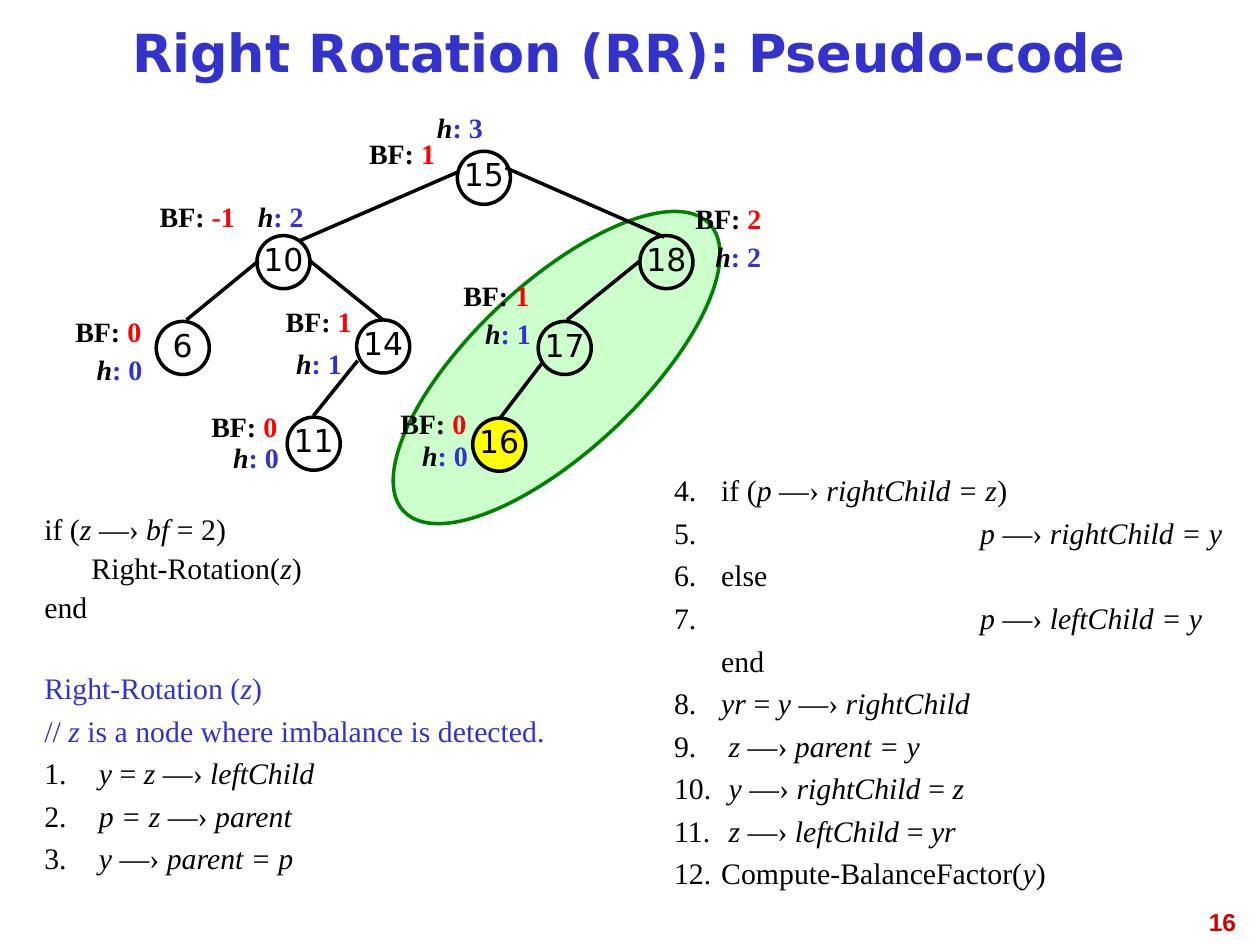
from lxml import etree
from pptx import Presentation
from pptx.dml.color import RGBColor
from pptx.enum.shapes import MSO_CONNECTOR, MSO_SHAPE
from pptx.enum.text import MSO_ANCHOR, MSO_AUTO_SIZE, PP_ALIGN
from pptx.oxml.ns import qn
from pptx.util import Cm, Pt

ELLIPSE = MSO_SHAPE.OVAL
STRAIGHT = MSO_CONNECTOR.STRAIGHT
MIDDLE, TOP = MSO_ANCHOR.MIDDLE, MSO_ANCHOR.TOP
CENTER, RIGHT, JUSTIFY = PP_ALIGN.CENTER, PP_ALIGN.RIGHT, PP_ALIGN.JUSTIFY
NO_FIT = MSO_AUTO_SIZE.NONE

COLORS = {"black": "000000", "blue": "3333CC", "red": "FF0000", "page": "CC0000",
          "green": "008000", "mint": "CCFFCC", "yellow": "FFFF00"}
SANS, SERIF = "DejaVu Sans", "Times New Roman"
NODE_SIZE = 1.07
HANG, DEEP_HANG = 0.95, 6.02

NODES = [
    ("15", (7.95, 0.94), "1", (5.92, 0.51), "3", (7.29, 0)),
    ("10", (3.91, 2.64), "-1", (1.7, 1.78), "2", (3.68, 1.78)),
    ("18", (11.63, 2.64), "2", (12.5, 1.83), "2", (12.9, 2.59)),
    ("6", (1.88, 4.37), "0", (0, 4.11), "0", (0.43, 4.88)),
    ("14", (5.92, 4.34), "1", (4.24, 3.91), "1", (4.45, 4.75)),
    ("17", (9.58, 4.37), "1", (7.82, 3.38), "1", (8.26, 4.14)),
    ("11", (4.52, 6.3), "0", (2.74, 6.02), "0", (3.18, 6.65)),
    ("16", (8.26, 6.32), "0", (6.55, 5.97), "0", (6.99, 6.6)),
]
EDGES = [
    (7.98, 1.35, 4.78, 2.74), (8.92, 1.27, 12.12, 2.67),
    (3.94, 3.15, 2.49, 4.34), (4.98, 3.15, 6.45, 4.34),
    (11.63, 3.15, 10.16, 4.34), (5.94, 5.16, 5.05, 6.27),
    (9.68, 5.18, 8.81, 6.32),
]

CALL_AND_SETUP = [
    ("if (*z* —› *bf* = 2)", {"spacing": 0.7}),
    ("\tRight-Rotation(*z*)", {"spacing": 0.7}),
    ("end", {"spacing": 0.7}),
    ("Right-Rotation (*z*)", {"before": 30.5, "color": "blue"}),
    ("// *z* is a node where imbalance is detected.", {"color": "blue"}),
    ("1.\t *y* = *z* —› *leftChild*", {}),
    ("2.\t *p = z* —› *parent*", {}),
    ("3.\t *y* —› *parent = p*", {}),
]
RELINKING = [
    ("4.\tif (*p* —› *rightChild = z*)", {}),
    ("5.\t *p* —› *rightChild = y*", {"hang": DEEP_HANG}),
    ("6.\telse", {}),
    ("7.\t *p* —› *leftChild = y*", {"hang": DEEP_HANG}),
    ("\tend", {}),
    ("8.\t*yr* = *y* —› *rightChild*", {}),
    ("9.\t *z* —› *parent = y*", {}),
    ("10.\t *y* —› *rightChild* = *z*", {}),
    ("11.\t *z* —› *leftChild* = *yr*", {}),
    ("12.\tCompute-BalanceFactor(*y*)", {}),
]


def rgb(name):
    return RGBColor.from_string(COLORS[name])


def style(r, size, name, color, bold=False, italic=False):
    r.font.size, r.font.name = Pt(size), name
    r.font.bold, r.font.italic = bold, italic
    r.font.color.rgb = rgb(color)


def place(sp, left, top, width, height):
    sp.left, sp.top, sp.width, sp.height = Cm(left), Cm(top), Cm(width), Cm(height)


def add_box(s, left, top, width, height):
    sp = s.shapes.add_textbox(Cm(left), Cm(top), Cm(width), Cm(height))
    sp.text_frame.word_wrap = True
    return sp


def add_ellipse(s, left, top, width, height, fill, line):
    sp = s.shapes.add_shape(ELLIPSE, Cm(left), Cm(top), Cm(width), Cm(height))
    sp.shadow.inherit = False
    if fill:
        sp.fill.solid()
        sp.fill.fore_color.rgb = rgb(fill)
    else:
        sp.fill.background()
    sp.line.color.rgb = rgb(line)
    sp.line.width = Pt(2)
    return sp


def add_node(s, left, top, key):
    fill = "yellow" if key == "16" else None
    tf = add_ellipse(s, left, top, NODE_SIZE, NODE_SIZE, fill, "black").text_frame
    tf.word_wrap = False
    tf.vertical_anchor = MIDDLE
    p = tf.paragraphs[0]
    p.text = key
    p.alignment, p.line_spacing = CENTER, 0.81
    style(p.runs[0], 18, SANS, "black")


def add_label(s, left, top, width, name, value, color, italic):
    p = add_box(s, left, top, width, 0.94).text_frame.paragraphs[0]
    for text, tone, slanted in ((name, "black", italic), (value, color, False)):
        r = p.add_run()
        r.text = text
        style(r, 16, SERIF, tone, True, slanted)


def add_edge(s, x1, y1, x2, y2):
    line = s.shapes.add_connector(STRAIGHT, Cm(x1), Cm(y1), Cm(x2), Cm(y2))
    line.line.color.rgb = rgb("black")
    line.line.width = Pt(2)
    etree.SubElement(line._element.spPr, qn("a:effectLst"))


def add_tree(s, left, top):
    subtree = add_ellipse(s, left + 8.26, top + 1.07, 3.38, 8.46, "mint", "green")
    subtree.rotation = 46.8
    for x1, y1, x2, y2 in EDGES:
        add_edge(s, left + x1, top + y1, left + x2, top + y2)
    for key, (x, y), bf, (bf_x, bf_y), h, (h_x, h_y) in NODES:
        add_node(s, left + x, top + y, key)
        bf_width = 1.9 if len(bf) == 1 else 2.54
        add_label(s, left + bf_x, top + bf_y, bf_width, "BF: ", bf, "red", False)
        add_label(s, left + h_x, top + h_y, 1.47, "h", f": {h}", "blue", True)


def fill_code(sp, lines):
    tf = sp.text_frame
    tf.auto_size = NO_FIT
    tf.vertical_anchor = TOP
    for i, (text, options) in enumerate(lines):
        p = tf.paragraphs[0] if i == 0 else tf.add_paragraph()
        pPr = p._p.get_or_add_pPr()
        hang = Cm(options.get("hang", HANG))
        pPr.set("marL", str(hang))
        pPr.set("indent", str(-hang))
        etree.SubElement(pPr, qn("a:buNone"))
        p.alignment = JUSTIFY
        p.line_spacing = options.get("spacing", 0.8)
        p.space_before = Pt(options.get("before", 8) if i else 0)
        for j, part in enumerate(text.split("*")):
            if part:
                r = p.add_run()
                r.text = part
                style(r, 17, SERIF, options.get("color", "black"), italic=j % 2 == 1)


def fill_title(sp, text):
    tf = sp.text_frame
    tf.text = text
    tf.auto_size = NO_FIT
    tf.vertical_anchor = MIDDLE
    p = tf.paragraphs[0]
    p.alignment, p.line_spacing = CENTER, 0.81
    style(p.runs[0], 30, SANS, "blue", True)


def add_page_number(s, left, top, width, height):
    p = add_box(s, left, top, width, height).text_frame.paragraphs[0]
    p.text = "16"
    p.alignment = RIGHT
    style(p.runs[0], 14, "Arial", "page", True)


def main():
    prs = Presentation()
    prs.slide_width, prs.slide_height = Cm(25.4), Cm(19.05)
    s = prs.slides.add_slide(prs.slide_layouts[1])
    title, body = s.placeholders
    place(title, 1.27, 0.2, 22.83, 1.9)
    fill_title(title, "Right Rotation (RR): Pseudo-code")
    add_tree(s, 1.27, 2.11)
    place(body, 0.64, 10.36, 11.86, 8.05)
    fill_code(body, CALL_AND_SETUP)
    fill_code(add_box(s, 13.34, 9.53, 11.63, 8.89), RELINKING)
    add_page_number(s, 19.25, 18.16, 5.92, 1.32)
    prs.save("out.pptx")


if __name__ == "__main__":
    main()
